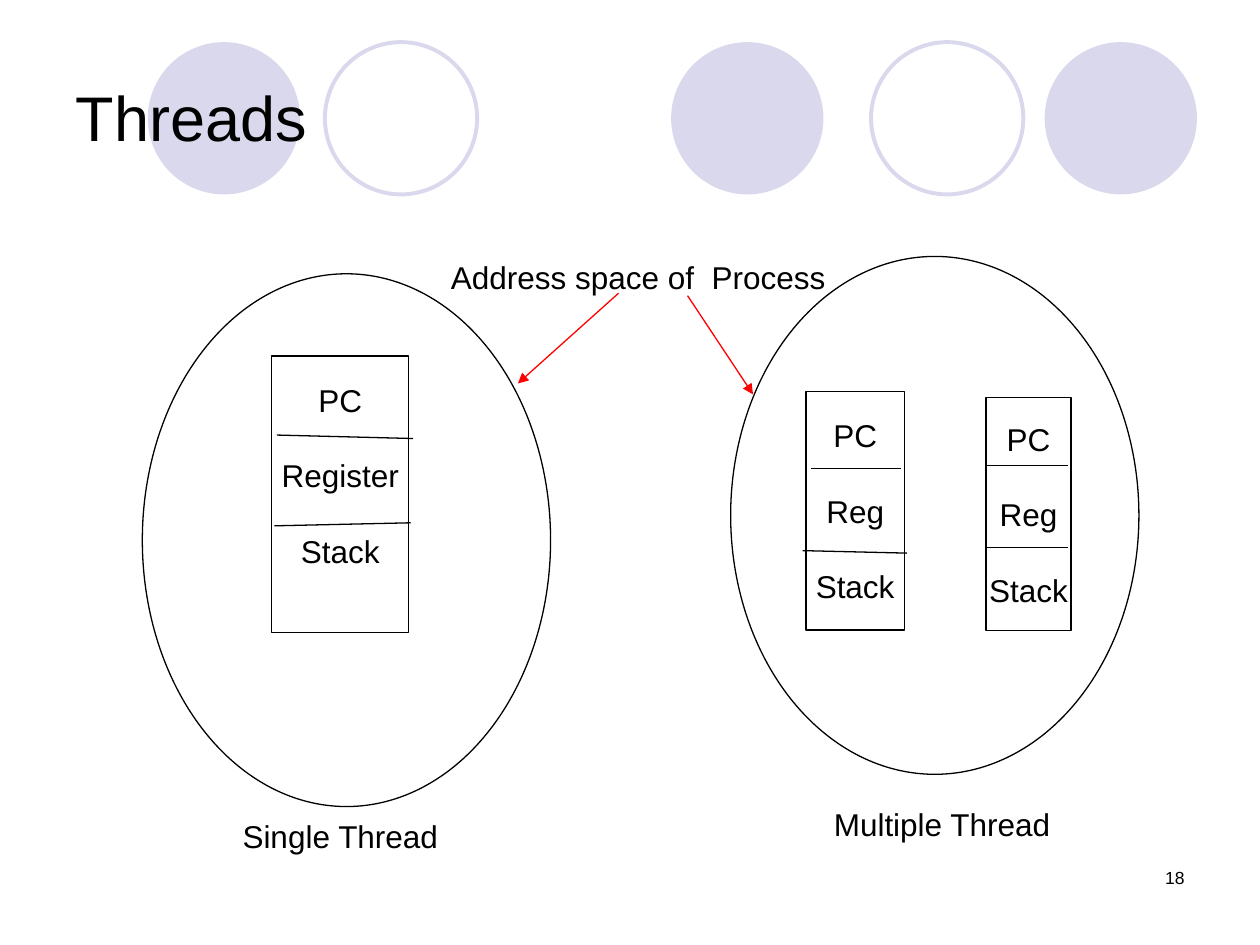
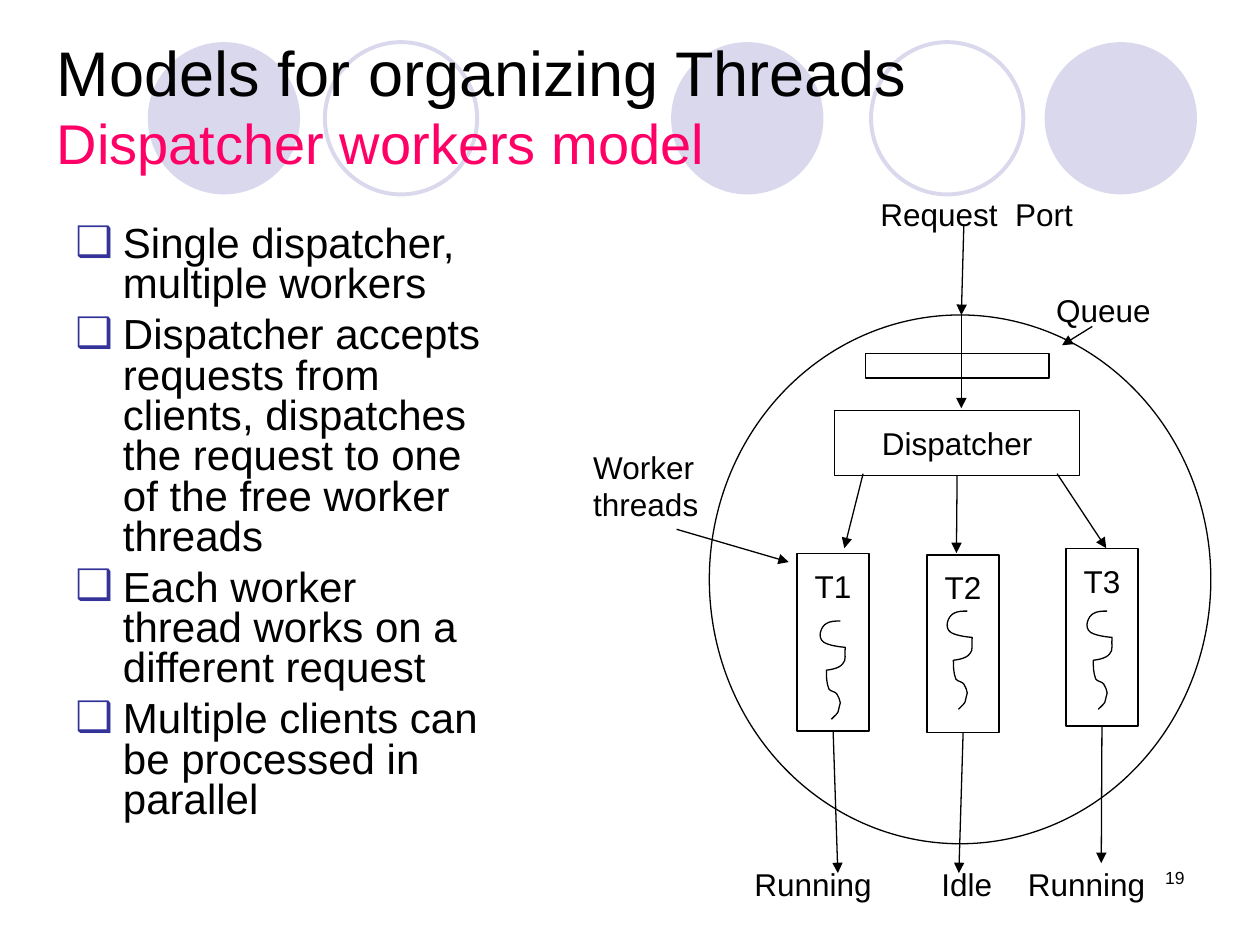
from lxml.etree import SubElement
from pptx import Presentation
from pptx.dml.color import RGBColor
from pptx.enum.shapes import MSO_CONNECTOR, MSO_SHAPE
from pptx.enum.text import MSO_ANCHOR as ANCHOR, MSO_AUTO_SIZE as FIT, PP_ALIGN as ALIGN
from pptx.oxml.ns import qn
from pptx.util import Cm, Pt

HUES = {"ink": "000000", "paper": "FFFFFF", "disc": "D9D8EC",
        "red": "FF0000", "pink": "FF0066", "bullet": "333399"}
RGB = {name: RGBColor.from_string(code) for name, code in HUES.items()}
FONT = "Arial"
OVAL, RECT = MSO_SHAPE.OVAL, MSO_SHAPE.RECTANGLE


def put(slide, kind, at, lines=(), fill=None, edge=None, width=0.75, size=18,
        align=ALIGN.LEFT, anchor=ANCHOR.TOP, gap=0):
    """Add a shape, or a text box when kind is None, with one paragraph per line."""
    at = [Cm(n) for n in at]
    if kind is None:
        item = slide.shapes.add_textbox(*at)
    else:
        item = slide.shapes.add_shape(kind, *at)
        item.shadow.inherit = False
    if fill:
        item.fill.solid()
        item.fill.fore_color.rgb = RGB[fill]
    else:
        item.fill.background()
    if edge:
        item.line.color.rgb = RGB[edge]
        item.line.width = Pt(width)
    else:
        item.line.fill.background()
    frame = item.text_frame
    frame.word_wrap = not edge
    frame.vertical_anchor = anchor
    for i, line in enumerate(lines):
        para = frame.add_paragraph() if i else frame.paragraphs[0]
        para.alignment = align
        para.space_before = Pt(gap if i else 0)
        run = para.add_run()
        run.text = line
        run.font.name, run.font.size = FONT, Pt(size)
        run.font.color.rgb = RGB["ink"]
    return item


def link(slide, start, end, hue="ink", arrow=True):
    """Add a straight line; it may start at a (shape, side) pair."""
    joined = hasattr(start[0], "shape_id")
    spots = [Cm(n) for n in (*(end if joined else start), *end)]
    wire = slide.shapes.add_connector(MSO_CONNECTOR.STRAIGHT, *spots)
    if joined:
        wire.begin_connect(*start)
    wire.line.color.rgb = RGB[hue]
    wire.line.width = Pt(0.75)
    if arrow:
        SubElement(wire.line._get_or_add_ln(), qn("a:tailEnd"), type="triangle")
    SubElement(wire._element.spPr, qn("a:effectLst"))


deck = Presentation()
deck.slide_width, deck.slide_height = Cm(25.4), Cm(19.05)

# Shared discs, title and number
heads = [
    ((1.27, 0.76, 22.86, 3.18), [("Threads", 36, "ink")]),
    ((0.89, 0, 22.86, 4.22), [("Models for organizing Threads", 36, "ink"),
                              ("Dispatcher workers model", 32, "pink")]),
]
for page, (at, parts) in enumerate(heads, 18):
    slide = deck.slides.add_slide(deck.slide_layouts[5])
    for left in (13.53, 21.06, 2.98):
        put(slide, OVAL, (left, 0.85, 3.07, 3.07), fill="disc")
    for left in (17.56, 6.55):
        put(slide, OVAL, (left, 0.85, 3.07, 3.07), edge="disc", width=2.25)
    put(slide, None, (18.21, 17.35, 5.92, 1.27), [str(page)], size=10, align=ALIGN.RIGHT)

    title = slide.shapes.title
    slide.shapes._spTree.append(title._element)  # bring in front of the discs
    title.left, title.top, title.width, title.height = [Cm(n) for n in at]
    frame = title.text_frame
    frame.auto_size, frame.vertical_anchor = FIT.NONE, ANCHOR.MIDDLE
    para = frame.paragraphs[0]
    para.alignment = ALIGN.LEFT
    for i, (text, size, hue) in enumerate(parts):
        if i:
            para.add_line_break()
        run = para.add_run()
        run.text = text
        run.font.name, run.font.size = FONT, Pt(size)
        run.font.color.rgb = RGB[hue]

single, models = deck.slides

# Threads: one process with a single thread, one with two
put(single, None, (8.84, 3.91, 8.79, 2.18), ["Address space of  Process"], anchor=ANCHOR.BOTTOM)
spaces = [
    ((2.87, 5.52, 8.23, 10.74), "Single Thread", (4.64, 16.35, 6.4, 1.02)),
    ((14.73, 5.17, 8.23, 10.44), "Multiple Thread", (16.56, 16.1, 6.4, 1.02)),
]
for oval, name, at in spaces:
    put(single, OVAL, oval, fill="paper", edge="ink")
    put(single, None, at, [name], fill="paper")

stacks = [
    ((5.48, 7.18, 2.76, 5.57), "Register", 0.9,
     [((5.58, 8.77), (8.33, 8.84)), ((5.53, 10.6), (8.28, 10.54))]),
    ((16.25, 7.9, 1.98, 4.8), "Reg", 0.13,
     [((16.34, 9.44), (18.16, 9.44)), ((16.18, 11.1), (18.28, 11.15))]),
    ((19.88, 8.02, 1.71, 4.69), "Reg", 0.13,
     [((19.88, 9.39), (21.53, 9.39)), ((19.88, 11.04), (21.53, 11.04))]),
]
for at, reg, foot, rules in stacks:
    box = put(single, RECT, at, ["PC", reg, "Stack"], fill="paper", edge="ink",
              align=ALIGN.CENTER, anchor=ANCHOR.MIDDLE, gap=21.6)
    box.text_frame.margin_bottom = Cm(foot)
    for start, end in rules:
        link(single, start, end, arrow=False)

link(single, (12.47, 5.91), (10.44, 7.73), "red")
link(single, (13.86, 5.96), (15.18, 7.95), "red")

# Dispatcher model: bullets
points = [
    "Single dispatcher, multiple workers",
    "Dispatcher accepts requests from clients, dispatches the request to one "
    "of the free worker threads",
    "Each worker thread works on a different request",
    "Multiple clients can be processed in parallel",
]
body = put(models, None, (1.27, 4.44, 8.73, 12.57), points, size=24, gap=6)
for para in body.text_frame.paragraphs:
    para.line_spacing = 0.8
    props = para._p.get_or_add_pPr()
    props.set("marL", str(Cm(0.96)))
    props.set("indent", str(-Cm(0.96)))
    tint = SubElement(props, qn("a:buClr"))
    SubElement(tint, qn("a:srgbClr"), val=HUES["bullet"])
    SubElement(props, qn("a:buFont"), typeface=FONT)
    SubElement(props, qn("a:buChar"), char="❑")

# Dispatcher model: diagram
put(models, OVAL, (14.3, 6.35, 10.11, 10.66), edge="ink")
hub = put(models, RECT, (16.83, 8.27, 4.93, 1.32), ["Dispatcher"], edge="ink",
          align=ALIGN.CENTER, anchor=ANCHOR.MIDDLE)
put(models, RECT, (17.45, 7.12, 3.7, 0.5), edge="ink")

# Thread squiggle: a start point, then Bezier pieces of three points each
curve = [
    (0.48, 0),
    (0.38, 0), (0.28, 0), (0.2, 0.05),
    (0.1, 0.1), (0, 0.33), (0.15, 0.43),
    (0.28, 0.51), (0.58, 0.53), (0.58, 0.53),
    (0.56, 0.66), (0.61, 0.79), (0.53, 0.86),
    (0.46, 0.97), (0.2, 0.99), (0.2, 0.99),
    (0.2, 1.12), (0.2, 1.24), (0.25, 1.37),
    (0.28, 1.42), (0.38, 1.42), (0.41, 1.47),
    (0.46, 1.52), (0.46, 1.6), (0.48, 1.65),
    (0.41, 1.9), (0.48, 1.8), (0.3, 1.98),
]
workers = [
    ("T1", (16.07, 11.16), (16.46, 12.52), (16.89, 17.6)),
    ("T2", (18.69, 11.19), (19.02, 12.32), (19.33, 17.6)),
    ("T3", (21.49, 11.06), (21.84, 12.32), (22.2, 17.4)),
]
for name, spot, (left, top), end in workers:
    box = put(models, RECT, (*spot, 1.45, 3.58), [name], edge="ink", align=ALIGN.CENTER)
    box.text_frame.margin_top = Cm(0.27)
    dots = [(Cm(left + x), Cm(top + y)) for x, y in curve]
    pen = models.shapes.build_freeform(*dots[0])
    pen.add_line_segments(dots[1:], close=False)
    curl = pen.convert_to_shape()
    trail = next(curl._element.iter(qn("a:path")))
    legs = trail.findall(qn("a:lnTo"))
    for i in range(0, len(legs), 3):
        bend = SubElement(trail, qn("a:cubicBezTo"))
        for leg in legs[i:i + 3]:
            bend.append(leg[0])
            trail.remove(leg)
    curl.shadow.inherit = False
    curl.fill.background()
    curl.line.color.rgb = RGB["ink"]
    curl.line.width = Pt(0.75)
    link(models, (box, 2), end)

arrows = [
    ((19.43, 4.52), (19.38, 6.35)),
    ((19.38, 6.3), (19.38, 8.23)),
    ((17.4, 9.55), (17.02, 11.05)),
    ((hub, 2), (19.28, 11.15)),
    ((21.31, 9.55), (22.3, 11.05)),
    ((22.02, 6.58), (21.41, 6.96)),
    ((13.64, 10.67), (15.9, 11.33)),
]
for start, end in arrows:
    link(models, start, end)

labels = [
    ("Request  Port", (17.5, 3.81, 6.07, 1.02)),
    ("Queue", (21.04, 5.74, 3.63, 1.02)),
    ("Worker threads", (11.71, 8.9, 3.25, 1.78)),
    ("Running\tIdle\tRunning", (14.96, 17.32, 8.89, 1.02)),
]
for text, at in labels:
    label = put(models, None, at, [text])
stops = SubElement(label.text_frame.paragraphs[0]._p.get_or_add_pPr(), qn("a:tabLst"))
for place in (3.77, 5.51):
    SubElement(stops, qn("a:tab"), pos=str(Cm(place)), algn="l")

deck.save("out.pptx")
